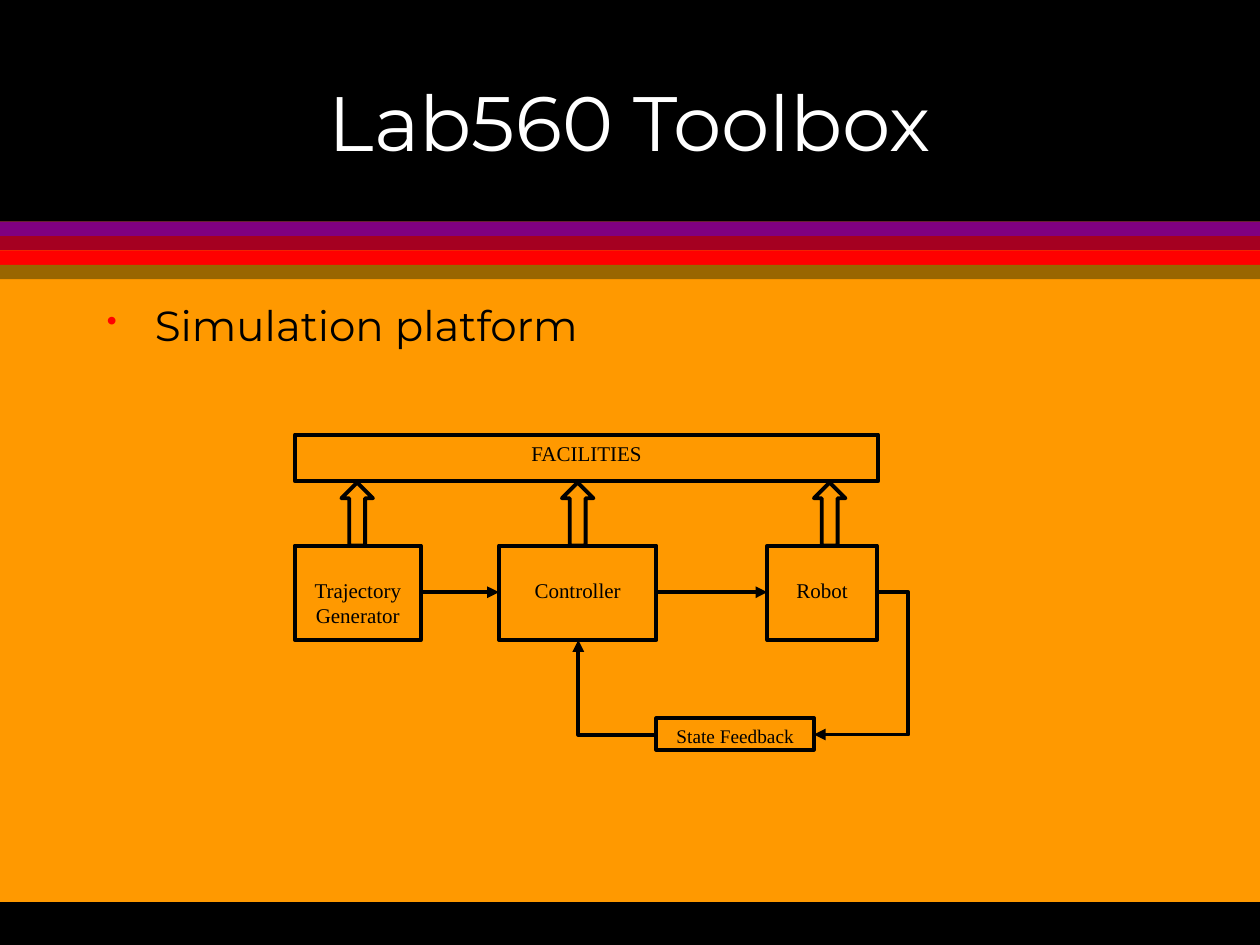
from lxml.etree import SubElement
from pptx import Presentation
from pptx.dml.color import RGBColor
from pptx.enum.shapes import MSO_CONNECTOR, MSO_SHAPE
from pptx.enum.text import MSO_ANCHOR, PP_ALIGN
from pptx.oxml.ns import qn
from pptx.util import Inches, Pt

BLACK = RGBColor(0x00, 0x00, 0x00)
WHITE = RGBColor(0xFF, 0xFF, 0xFF)
GREY = RGBColor(0x96, 0x96, 0x96)
ORANGE = RGBColor(0xFF, 0x99, 0x00)
PURPLE = RGBColor(0x80, 0x00, 0x80)
WINE = RGBColor(0xA5, 0x00, 0x21)
RED = RGBColor(0xFF, 0x00, 0x00)
BROWN = RGBColor(0x99, 0x66, 0x00)


def write(frame, text, font="Times New Roman", size=12, color=BLACK,
          align=PP_ALIGN.CENTER, anchor=MSO_ANCHOR.TOP, top=0.05):
    """Put one formatted paragraph in a text frame and return it."""
    frame.word_wrap = True
    frame.vertical_anchor = anchor
    frame.margin_top = Inches(top)
    par = frame.paragraphs[0]
    par.alignment = align
    run = par.add_run()
    run.text = text
    run.font.name = font
    run.font.size = Pt(size)
    run.font.color.rgb = color
    return par


class Deck:
    """Holds the style and the current slide."""
    head = "Montserrat"
    line = Pt(2.25)

    def __init__(self, prs):
        self.slide = prs.slides.add_slide(prs.slide_layouts[6])
        self.shapes = self.slide.shapes

    def back(self, color):
        fill = self.slide.background.fill
        fill.solid()
        fill.fore_color.rgb = color

    def shape(self, kind, *area):
        item = self.shapes.add_shape(kind, *map(Inches, area))
        item.shadow.inherit = False
        return item

    def band(self, top, height, color):
        item = self.shape(MSO_SHAPE.RECTANGLE, 0, top, 10, height)
        item.fill.solid()
        item.fill.fore_color.rgb = color
        item.line.fill.background()

    def frame(self, *area):
        return self.shapes.add_textbox(*map(Inches, area)).text_frame

    def title(self, text, *area):
        write(self.frame(*area), text, font=self.head, size=44, color=WHITE,
              anchor=MSO_ANCHOR.MIDDLE)

    def bullet(self, text, *area):
        par = write(self.frame(*area), text, font=self.head, size=24,
                    align=PP_ALIGN.LEFT)
        par.space_before = Pt(6)
        props = par._p.get_or_add_pPr()
        props.set("marL", str(Inches(0.38)))
        props.set("indent", str(-Inches(0.38)))
        tint = SubElement(props, qn("a:buClr"))
        SubElement(tint, qn("a:srgbClr"), val=str(RED))
        SubElement(props, qn("a:buSzPct"), val="70000")
        SubElement(props, qn("a:buChar"), char="•")

    def open(self, kind, *area):
        item = self.shape(kind, *area)
        item.fill.background()
        item.line.color.rgb = BLACK
        item.line.width = self.line
        return item

    def box(self, text, *area, **style):
        item = self.open(MSO_SHAPE.RECTANGLE, *area)
        write(item.text_frame, text, **style)

    def link(self, *ends, kind=MSO_CONNECTOR.STRAIGHT):
        """Draw a line with an arrowhead at its end."""
        item = self.shapes.add_connector(kind, *map(Inches, ends))
        item.line.color.rgb = BLACK
        item.line.width = self.line
        props = item._element.spPr
        SubElement(props.find(qn("a:ln")), qn("a:tailEnd"), type="triangle")
        SubElement(props, qn("a:effectLst"))
        return props

    def turn(self, left, top, right, low):
        """Run from bottom right leftward, then up to top left."""
        props = self.link(left, top, right, low, kind=MSO_CONNECTOR.ELBOW)
        props.find(qn("a:xfrm")).set("rot", "10800000")
        props.find(qn("a:prstGeom")).set("prst", "bentConnector2")

    def loop(self, *ends, bend):
        """Run out past the start by a share of the width, then back."""
        props = self.link(*ends, kind=MSO_CONNECTOR.ELBOW)
        guides = props.find(qn("a:prstGeom")).get_or_add_avLst()
        SubElement(guides, qn("a:gd"), name="adj1",
                   fmla=f"val {round(bend * 100000)}")


def main():
    prs = Presentation()
    prs.slide_width, prs.slide_height = Inches(10), Inches(7.5)
    deck = Deck(prs)

    # Backdrop and stripes
    deck.back(GREY)
    deck.band(1.5, 6, ORANGE)
    deck.band(7.16, 0.34, BLACK)
    deck.band(0, 1.76, BLACK)
    for row, color in enumerate((PURPLE, WINE, RED, BROWN)):
        deck.band(1.76 + row * 0.114, 0.114, color)

    # Headings
    deck.title("Lab560 Toolbox", 0.75, 0.33, 8.5, 1.25)
    deck.bullet("Simulation platform", 0.75, 2.33, 8.98, 4.72)

    # Blocks, each with an arrow up to the facilities
    deck.box("FACILITIES", 2.34, 3.45, 4.63, 0.37)
    blocks = (("Trajectory Generator", 2.34, 1, 2.71),
              ("Controller", 3.96, 1.25, 4.46),
              ("Robot", 6.09, 0.87, 6.46))
    for text, left, width, arrow in blocks:
        deck.box(text, left, 4.33, width, 0.75, top=0.25)
        deck.open(MSO_SHAPE.UP_ARROW, arrow, 3.83, 0.25, 0.5)
    deck.box("State Feedback", 5.21, 5.7, 1.25, 0.25, size=11)

    # Signal flow
    for (_, left, width, _), (_, goal, _, _) in zip(blocks, blocks[1:]):
        deck.link(left + width, 4.7, goal, 4.7)
    deck.turn(4.59, 5.08, 5.21, 5.83)
    deck.loop(6.96, 4.7, 6.46, 5.83, bend=-0.5)

    prs.save("out.pptx")


if __name__ == "__main__":
    main()
